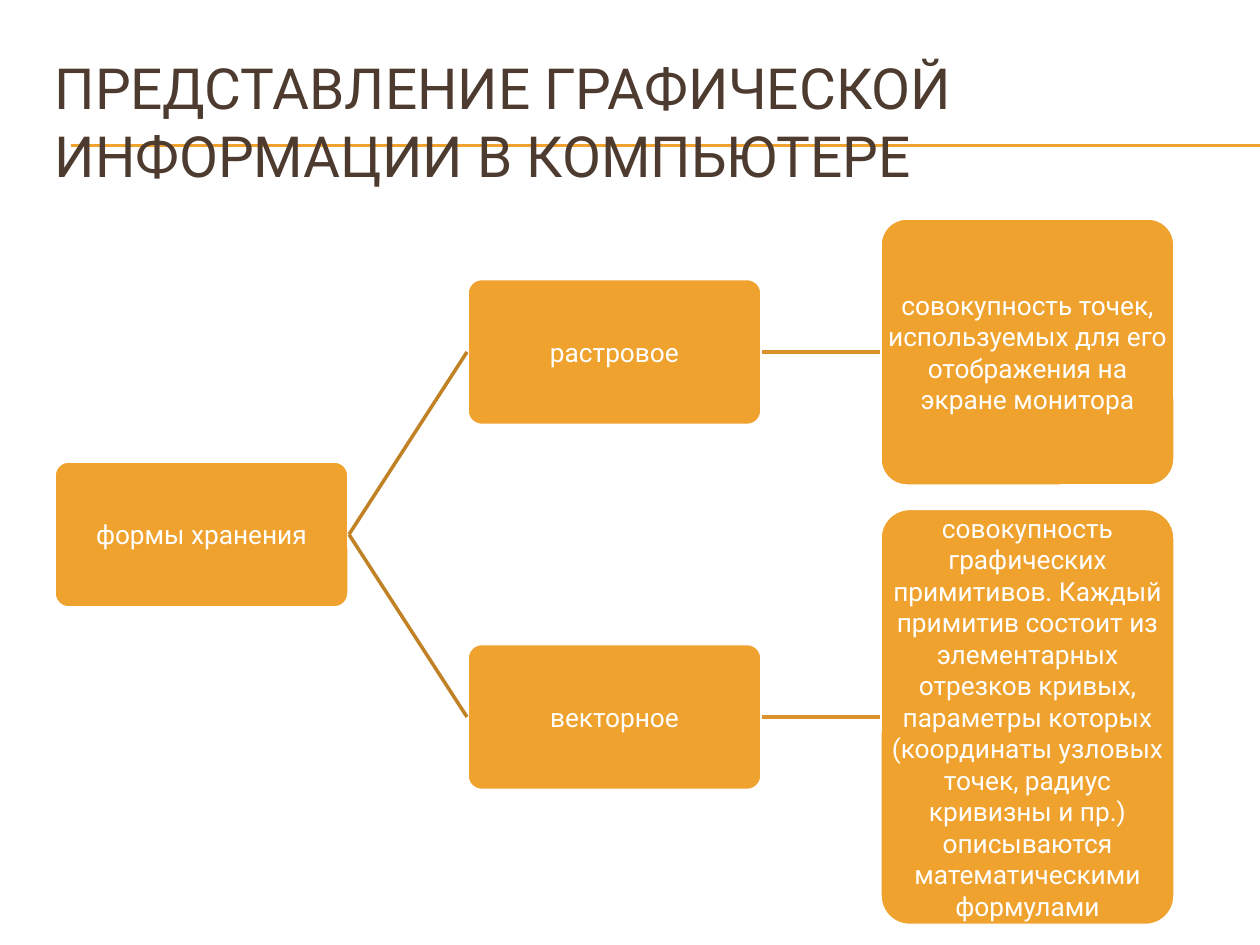
from dataclasses import dataclass

from lxml import etree
from pptx import Presentation
from pptx.dml.color import RGBColor
from pptx.enum.shapes import MSO_CONNECTOR, MSO_SHAPE
from pptx.enum.text import MSO_ANCHOR, MSO_AUTO_SIZE, PP_ALIGN
from pptx.oxml.ns import qn
from pptx.util import Pt

ROUNDED = MSO_SHAPE.ROUNDED_RECTANGLE
STRAIGHT = MSO_CONNECTOR.STRAIGHT
MIDDLE = MSO_ANCHOR.MIDDLE
LEFT, CENTER = PP_ALIGN.LEFT, PP_ALIGN.CENTER
LEFT_SIDE, RIGHT_SIDE = 1, 3
TITLE_ONLY = 5
PX_PER_INCH = 126
BOX_WIDTH, BOX_HEIGHT = 295, 147
ROOT_X, BRANCH_X, LEAF_X = 54, 467, 880
# The text area reaches past the inset that rounded corners impose.
BOX_INSET = -4

# Each branch: centre line, name, height of its description box, description.
BRANCHES = [
    (352, "растровое", 268,
     "совокупность точек, используемых для его отображения на экране монитора"),
    (717, "векторное", 417,
     "совокупность графических примитивов. Каждый примитив состоит из "
     "элементарных отрезков кривых, параметры которых (координаты узловых "
     "точек, радиус кривизны и пр.) описываются математическими формулами"),
]


@dataclass(frozen=True)
class Theme:
    font: str = "Roboto"
    title_size: float = 32.4
    box_size: float = 15
    title: str = "4E3B30"
    accent: str = "F0A22E"
    white: str = "FFFFFF"
    branch_line: str = "C08225"
    leaf_line: str = "DA932A"
    rule_width: float = 0.75
    line_width: float = 2


THEME = Theme()


def px(length):
    return round(length * 914400 / PX_PER_INCH)


def set_text(frame, text, *, size, color, align, inset=None):
    frame.word_wrap = True
    frame.auto_size = MSO_AUTO_SIZE.NONE
    frame.vertical_anchor = MIDDLE
    if inset is not None:
        frame.margin_left = frame.margin_right = px(inset)
        frame.margin_top = frame.margin_bottom = px(inset)
    para = frame.paragraphs[0]
    para.alignment = align
    span = para.add_run()
    span.text = text
    span.font.name = THEME.font
    span.font.size = Pt(size)
    span.font.color.rgb = RGBColor.from_string(color)


def add_title(page, text):
    title = page.shapes.title
    title.left, title.top = px(42), px(63)
    title.width, title.height = px(1197), px(116)
    set_text(title.text_frame, text, size=THEME.title_size,
             color=THEME.title, align=LEFT)


def add_line(page, start, end, color, width):
    line = page.shapes.add_connector(STRAIGHT, *map(px, start + end))
    line.line.color.rgb = RGBColor.from_string(color)
    line.line.width = Pt(width)
    etree.SubElement(line._element.spPr, qn("a:effectLst"))
    return line


def add_box(page, x, center_y, height, text):
    box = page.shapes.add_shape(ROUNDED, px(x), px(center_y - height / 2),
                                px(BOX_WIDTH), px(height))
    box.adjustments[0] = 0.1
    box.shadow.inherit = False
    box.fill.solid()
    box.fill.fore_color.rgb = RGBColor.from_string(THEME.accent)
    box.line.color.rgb = RGBColor.from_string(THEME.white)
    box.line.width = Pt(THEME.line_width)
    set_text(box.text_frame, text, size=THEME.box_size, color=THEME.white,
             align=CENTER, inset=BOX_INSET)
    return box


def join(page, source, target, color):
    """Connect the right side of source to the left side of target."""
    line = add_line(page, (0, 0), (0, 0), color, THEME.line_width)
    line.begin_connect(source, RIGHT_SIDE)
    line.end_connect(target, LEFT_SIDE)


def main():
    deck = Presentation()
    deck.slide_width, deck.slide_height = px(1260), px(945)
    page = deck.slides.add_slide(deck.slide_layouts[TITLE_ONLY])

    add_title(page, "ПРЕДСТАВЛЕНИЕ ГРАФИЧЕСКОЙ ИНФОРМАЦИИ В КОМПЬЮТЕРЕ")
    for rule_y in (145, 146):
        rule = add_line(page, (71, rule_y), (1260, rule_y),
                        THEME.accent, THEME.rule_width)
        page.shapes.title._element.addprevious(rule._element)

    root_y = sum(branch[0] for branch in BRANCHES) / len(BRANCHES)
    root = add_box(page, ROOT_X, root_y, BOX_HEIGHT, "формы хранения")
    for center_y, name, leaf_height, description in BRANCHES:
        branch = add_box(page, BRANCH_X, center_y, BOX_HEIGHT, name)
        leaf = add_box(page, LEAF_X, center_y, leaf_height, description)
        join(page, root, branch, THEME.branch_line)
        join(page, branch, leaf, THEME.leaf_line)

    deck.save("out.pptx")


if __name__ == "__main__":
    main()
